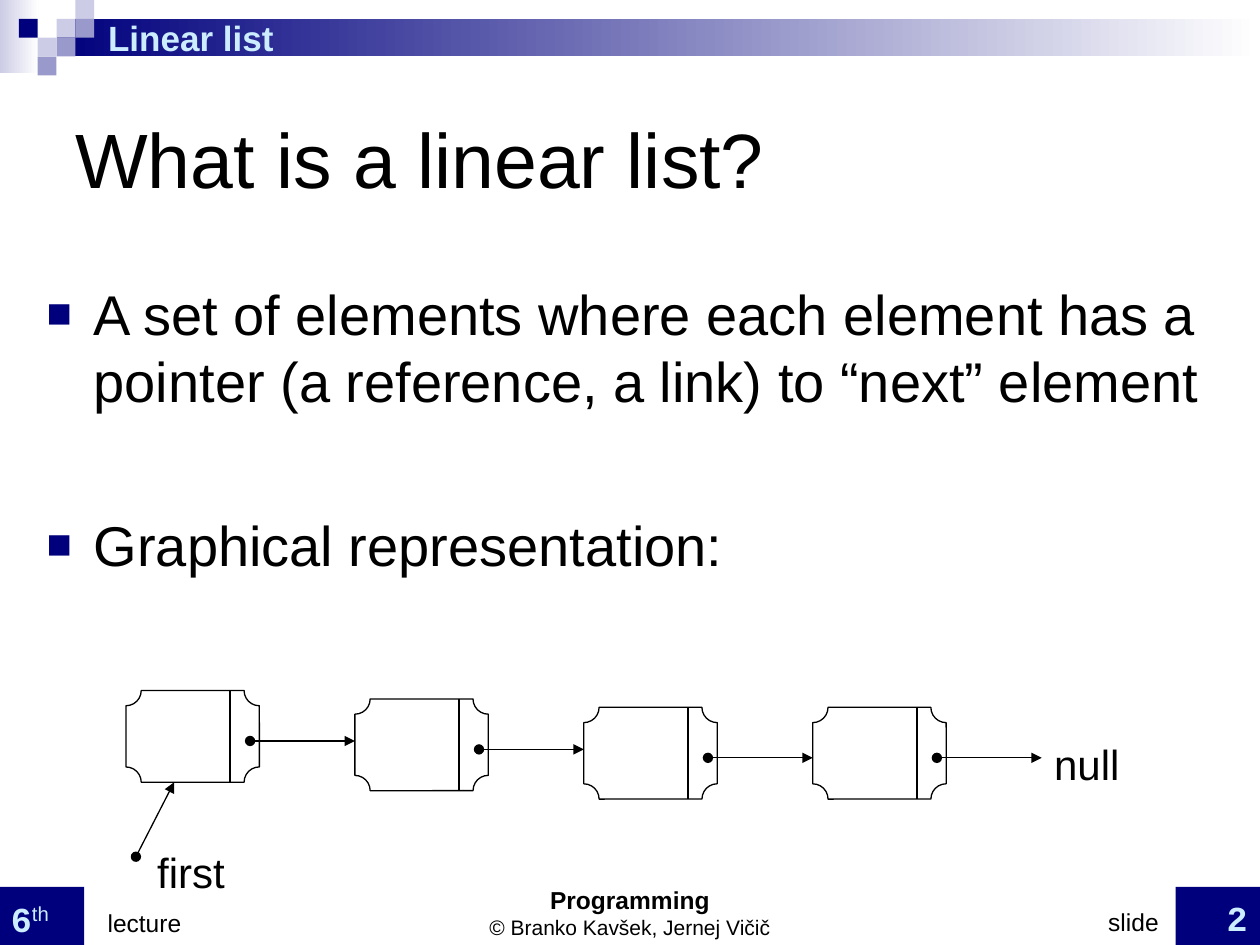
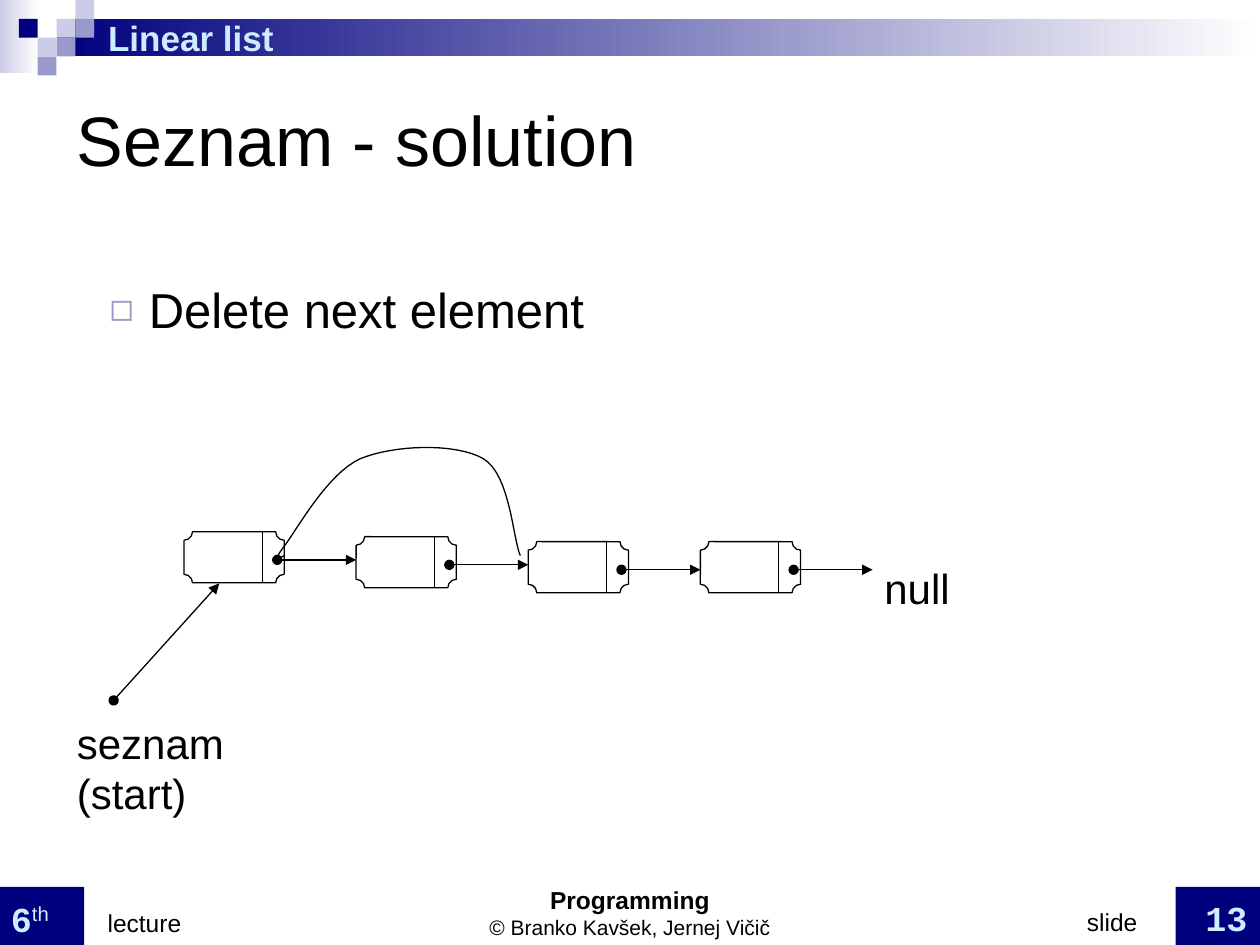
from dataclasses import dataclass
from typing import NamedTuple

from lxml.etree import SubElement
from pptx import Presentation
from pptx.dml.color import RGBColor
from pptx.enum.shapes import MSO_CONNECTOR, MSO_SHAPE
from pptx.enum.text import MSO_ANCHOR, PP_ALIGN
from pptx.oxml.ns import qn
from pptx.util import Cm, Pt


@dataclass(frozen=True)
class Theme:
    navy: str = "00007D"
    violet: str = "9999CC"
    lilac: str = "CCCCE6"
    ice: str = "CCECFF"
    white: str = "FFFFFF"
    black: str = "000000"
    sans: str = "Arial"
    mono: str = "Courier New"
    title: int = 44
    small_title: int = 40
    body: int = 32
    sub_body: int = 28
    label: int = 24
    band: int = 20
    footer: int = 14
    credit: int = 12
    line: float = 0.75


THEME = Theme()


class Box(NamedTuple):
    """Left, top, width and height in centimetres."""
    left: float
    top: float
    width: float
    height: float

    def emu(self) -> list[int]:
        return [Cm(v) for v in self]


class Run(NamedTuple):
    text: str
    size: float
    color: str = THEME.black
    bold: bool = False
    font: str = THEME.sans
    raised: bool = False


class Bullet(NamedTuple):
    char: str
    color: str
    percent: int
    left: float
    hanging: float


class Tab(NamedTuple):
    at: float
    align: str


class Square(NamedTuple):
    col: int
    row: int
    color: str


class Point(NamedTuple):
    x: float
    y: float


@dataclass(frozen=True)
class Chain:
    """A row of list nodes; the second and third each sit one drop lower."""
    left: float
    top: float
    width: float
    height: float
    pitch: float
    drop: float
    count: int = 4


BODY = Box(0.69, 5.51, 24, 12.22)
CELL = 0.38
SQUARES = [
    Square(3, 1, THEME.lilac), Square(4, 0, THEME.lilac),
    Square(4, 1, THEME.violet), Square(2, 2, THEME.lilac),
    Square(1, 1, THEME.navy), Square(3, 2, THEME.violet),
    Square(2, 3, THEME.violet),
]
SOLID_BULLET = Bullet("■", THEME.navy, 75, 0.95, 0.95)
HOLLOW_BULLET = Bullet("◻", THEME.violet, 80, 2.06, 0.79)


def add_bullet(p, bullet: Bullet) -> None:
    pPr = p._p.get_or_add_pPr()
    pPr.set("marL", str(Cm(bullet.left)))
    pPr.set("indent", str(-Cm(bullet.hanging)))
    color = SubElement(pPr, qn("a:buClr"))
    SubElement(color, qn("a:srgbClr"), val=bullet.color)
    SubElement(pPr, qn("a:buSzPct"), val=str(bullet.percent * 1000))
    SubElement(pPr, qn("a:buFont"), typeface=THEME.sans)
    SubElement(pPr, qn("a:buChar"), char=bullet.char)


def add_tabs(p, tabs: list[Tab]) -> None:
    tab_list = SubElement(p._p.get_or_add_pPr(), qn("a:tabLst"))
    for tab in tabs:
        SubElement(tab_list, qn("a:tab"), pos=str(Cm(tab.at)), algn=tab.align)


def add_text(slide, box: Box, *paragraphs: list[Run], align=PP_ALIGN.LEFT,
             anchor=MSO_ANCHOR.TOP, inset_x: float = 0.25, inset_y: float = 0.13,
             gap: float = 0, bullet: Bullet | None = None,
             tabs: list[Tab] | None = None) -> None:
    """Add a text box; gap is the space in points between paragraphs."""
    tf = slide.shapes.add_textbox(*box.emu()).text_frame
    tf.word_wrap = True
    tf.vertical_anchor = anchor
    tf.margin_left = tf.margin_right = Cm(inset_x)
    tf.margin_top = tf.margin_bottom = Cm(inset_y)
    for i, runs in enumerate(paragraphs):
        p = tf.add_paragraph() if i else tf.paragraphs[0]
        p.alignment = align
        if bullet:
            add_bullet(p, bullet)
        if tabs:
            add_tabs(p, tabs)
        if i and gap:
            p.space_before = Pt(gap)
        for run in runs:
            r = p.add_run()
            r.text = run.text
            r.font.size = Pt(run.size)
            r.font.name = run.font
            r.font.bold = run.bold
            r.font.color.rgb = RGBColor.from_string(run.color)
            if run.raised:
                r._r.get_or_add_rPr().set("baseline", "30000")


def add_block(slide, box: Box, color: str, fade: bool = False) -> None:
    """Add a borderless rectangle, fading to white on the right if asked."""
    sp = slide.shapes.add_shape(MSO_SHAPE.RECTANGLE, *box.emu())
    sp.shadow.inherit = False
    sp.line.fill.background()
    if not fade:
        sp.fill.solid()
        sp.fill.fore_color.rgb = RGBColor.from_string(color)
        return
    sp.fill.gradient()
    sp.fill.gradient_angle = 0
    for stop, rgb, position in zip(sp.fill.gradient_stops, (color, THEME.white), (0, 1)):
        stop.color.rgb = RGBColor.from_string(rgb)
        stop.position = position


def outline(sp) -> None:
    sp.line.color.rgb = RGBColor.from_string(THEME.black)
    sp.line.width = Pt(THEME.line)


def add_line(slide, start: Point, end: Point, pointer: bool = False) -> None:
    """Add a line; a pointer starts with a dot and ends with an arrowhead."""
    line = slide.shapes.add_connector(
        MSO_CONNECTOR.STRAIGHT, *(Cm(v) for v in (*start, *end)))
    outline(line)
    if pointer:
        ln = line.line._get_or_add_ln()
        SubElement(ln, qn("a:headEnd"), type="oval")
        SubElement(ln, qn("a:tailEnd"), type="triangle")
    SubElement(line._element.spPr, qn("a:effectLst"))


def add_chain(slide, chain: Chain) -> None:
    for i in range(chain.count):
        x = chain.left + i * chain.pitch
        y = chain.top + min(i, 2) * chain.drop
        node = slide.shapes.add_shape(
            MSO_SHAPE.PLAQUE, *Box(x, y, chain.width, chain.height).emu())
        node.shadow.inherit = False
        node.fill.background()
        outline(node)
        divider = x + 0.78 * chain.width
        add_line(slide, Point(divider, y), Point(divider, y + chain.height))
        link_y = y + 0.55 * chain.height
        add_line(slide, Point(x + 0.93 * chain.width, link_y),
                 Point(x + chain.pitch, link_y), pointer=True)


def add_curve(slide, points: list[Point], steps: int = 16) -> None:
    """Draw joined cubic curves: a start, then two controls and an end for each."""
    def at(a: float, b: float, c: float, d: float, t: float) -> int:
        u = 1 - t
        return Cm(u**3 * a + 3 * u * u * t * b + 3 * u * t * t * c + t**3 * d)

    traced = []
    for k in range(0, len(points) - 1, 3):
        xs, ys = zip(*points[k:k + 4])
        traced += [(at(*xs, n / steps), at(*ys, n / steps)) for n in range(1, steps + 1)]
    builder = slide.shapes.build_freeform(Cm(points[0].x), Cm(points[0].y))
    builder.add_line_segments(traced, close=False)
    sp = builder.convert_to_shape()
    sp.shadow.inherit = False
    sp.fill.background()
    outline(sp)


def add_label(slide, box: Box, text: str) -> None:
    add_text(slide, box, [Run(text, THEME.label)])


def add_header(slide) -> None:
    add_block(slide, Box(0, 0, 0.78, 1.47), THEME.lilac, fade=True)
    add_block(slide, Box(1.14, 0.38, 24.26, 0.75), THEME.navy, fade=True)
    for square in SQUARES:
        add_block(slide, Box(square.col * CELL, square.row * CELL, CELL, CELL), square.color)
    add_text(slide, Box(1.5, 0.38, 17.4, 0.74),
             [Run("Linear list", THEME.band, THEME.ice, True)],
             anchor=MSO_ANCHOR.MIDDLE, inset_x=0.68, inset_y=0.03)


def add_footer(slide, number: int, word_end: float) -> None:
    """Add the footer; word_end is the tab stop where the word "slide" ends."""
    for left in (23.7, 0):
        add_block(slide, Box(left, 17.88, 1.7, 1.19), THEME.navy)
    add_text(slide, Box(6.5, 17.81, 12.4, 1.27),
             [Run("Programming", THEME.footer, bold=True)],
             [Run("© Branko Kavšek, Jernej Vičič", THEME.credit)],
             align=PP_ALIGN.CENTER, anchor=MSO_ANCHOR.BOTTOM)
    add_text(slide, Box(-0.03, 17.75, 5.92, 1.32),
             [Run("6", THEME.band, THEME.ice, True, THEME.mono),
              Run("th", THEME.band, THEME.ice, raised=True),
              Run("\tlecture", THEME.footer)],
             anchor=MSO_ANCHOR.BOTTOM, tabs=[Tab(1.95, "l")])
    add_text(slide, Box(19.5, 17.78, 5.92, 1.27),
             [Run("\tslide", THEME.footer),
              Run(f"\t{number}", THEME.band, THEME.ice, True, THEME.mono)],
             anchor=MSO_ANCHOR.BOTTOM, tabs=[Tab(word_end, "r"), Tab(5.4, "r")])


def add_slide(prs, title: str, title_box: Box, title_size: int, number: int,
              word_end: float):
    s = prs.slides.add_slide(prs.slide_layouts[6])
    add_header(s)
    add_footer(s, number, word_end)
    add_text(s, title_box, [Run(title, title_size)], anchor=MSO_ANCHOR.MIDDLE)
    return s


def build_definition(prs) -> None:
    s = add_slide(prs, "What is a linear list?", Box(1.27, 1.27, 22.86, 3.81),
                  THEME.title, 2, 3.61)
    add_text(s, BODY,
             [Run("A set of elements where each element has a pointer "
                  "(a reference, a link) to “next” element", THEME.body)],
             [Run("Graphical representation:", THEME.body)],
             bullet=SOLID_BULLET, gap=55)
    add_chain(s, Chain(2.54, 13.92, 2.69, 1.85, 4.615, 0.17))
    add_line(s, Point(2.74, 17.27), Point(3.51, 15.77), pointer=True)
    add_label(s, Box(2.92, 16.94, 3.66, 1.27), "first")
    add_label(s, Box(21, 14.76, 2.49, 1.27), "null")


def build_deletion(prs) -> None:
    s = add_slide(prs, "Seznam - solution", Box(1.3, 1.73, 22.86, 2.13),
                  THEME.small_title, 13, 3.18)
    add_text(s, BODY, [Run("Delete next element", THEME.sub_body)], bullet=HOLLOW_BULLET)
    add_chain(s, Chain(3.71, 10.72, 2.02, 1.03, 3.47, 0.1))
    add_line(s, Point(2.29, 14.12), Point(4.42, 11.76), pointer=True)
    add_label(s, Box(17.58, 11.2, 1.88, 1.27), "null")
    add_label(s, Box(1.3, 14.33, 4.8, 2.29), "seznam (start)")
    add_curve(s, [
        Point(5.74, 11.2), Point(5.61, 11.25), Point(5.49, 11.33), Point(5.74, 11),
        Point(5.99, 10.67), Point(6.6, 9.55), Point(7.26, 9.25),
        Point(7.92, 8.97), Point(9.19, 8.92), Point(9.75, 9.25),
        Point(10.29, 9.58), Point(10.34, 10.87), Point(10.49, 11.2),
    ])


def main() -> None:
    prs = Presentation()
    prs.slide_width, prs.slide_height = Cm(25.4), Cm(19.05)
    build_definition(prs)
    build_deletion(prs)
    prs.save("out.pptx")


if __name__ == "__main__":
    main()
